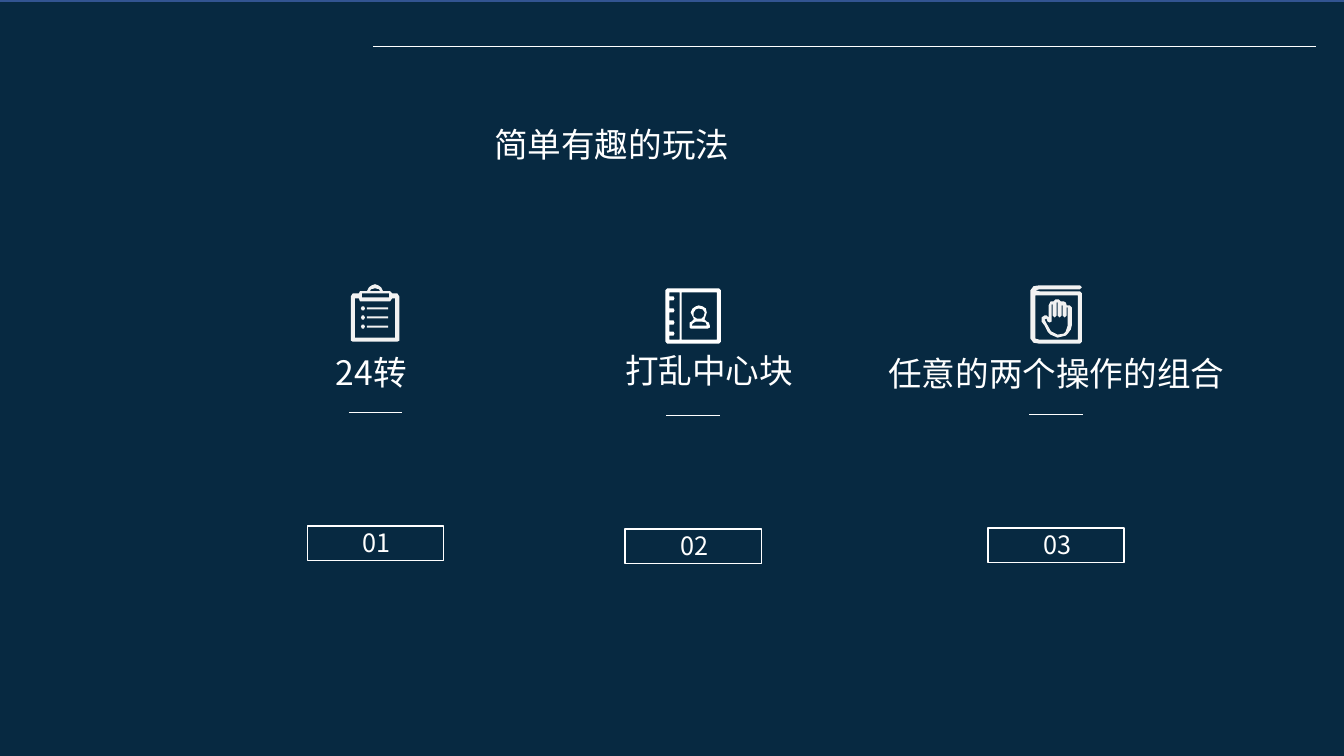
from dataclasses import dataclass

from lxml import etree
from pptx import Presentation
from pptx import util as u
from pptx.dml.color import RGBColor
from pptx.enum import shapes, text
from pptx.oxml.ns import qn


@dataclass
class Theme:
    navy: RGBColor = RGBColor(0x07, 0x29, 0x41)
    edge: RGBColor = RGBColor(0x32, 0x54, 0x91)
    white: RGBColor = RGBColor(0xFF, 0xFF, 0xFF)
    pale: RGBColor = RGBColor(0xF2, 0xF2, 0xF2)
    font: str = "Noto Sans CJK SC"
    heading: u.Pt = u.Pt(24)
    number: u.Pt = u.Pt(18)


theme = Theme()
deck = Presentation()
deck.slide_width, deck.slide_height = u.Inches(13.33), u.Inches(7.5)
cell = deck.slide_width // 1333
page = deck.slides.add_slide(deck.slide_layouts[5])


def write(box, words, size):
    box.text_frame.vertical_anchor = text.MSO_ANCHOR.TOP
    para = box.text_frame.paragraphs[0]
    span = para.add_run()
    span.text = words
    span.font.size = size
    span.font.color.rgb = theme.white
    span.font.name = theme.font
    etree.SubElement(span._r.rPr, qn("a:ea"), typeface=theme.font)
    return para


def draw_line(left, right, top, width):
    line = page.shapes.add_connector(
        shapes.MSO_CONNECTOR.STRAIGHT, left * cell, top * cell, right * cell, top * cell)
    line.line.color.rgb = theme.white
    line.line.width = width
    etree.SubElement(line._element.spPr, qn("a:effectLst"))


backdrop = page.shapes.add_shape(
    shapes.MSO_SHAPE.RECTANGLE, -2 * cell, cell, 1337 * cell, 751 * cell)
backdrop.shadow.inherit = False
backdrop.fill.solid()
backdrop.fill.fore_color.rgb = theme.navy
backdrop.line.color.rgb = theme.edge
backdrop.line.width = u.Pt(1)
page.shapes._spTree.insert(2, backdrop._element)

title = page.shapes.title
title.left, title.top, title.width, title.height = [n * cell for n in (480, 118, 529, 50)]
title.text_frame.auto_size = text.MSO_AUTO_SIZE.NONE
write(title, "简单有趣的玩法", theme.heading).alignment = text.PP_ALIGN.JUSTIFY
draw_line(370, 1305, 46, u.Pt(0.5))

clipboard = [
    [(0, 12), (2, 9), (8, 9), (9, 7), (16, 7), (18, 3), (21, 1), (24, 0), (27, 1), (30, 3),
     (32, 7), (39, 7), (41, 9), (46, 9), (48, 12), (48, 56), (46, 57), (2, 57), (0, 56)],
    [(19, 7), (20, 5), (24, 4), (28, 5), (29, 7)],
    [(11, 9), (38, 9), (38, 13), (11, 13)],
    [(4, 53), (4, 14), (8, 14), (9, 17), (39, 17), (41, 14), (44, 14), (44, 53)],
]
for row in (24, 33, 42):
    clipboard += [
        [(10, row), (11, row - 2), (13, row - 2), (14, row), (13, row + 2), (11, row + 2)],
        [(16, row - 1), (37, row - 1), (37, row + 1), (16, row + 1)],
    ]

binding = [(14, 51), (14, 4), (4, 4)]
for notch in (8, 20, 32, 43):
    binding += [(4, notch), (8, notch), (9, notch + 2), (8, notch + 4), (4, notch + 4)]
notebook = [
    [(2, 0), (53, 0), (55, 2), (55, 53), (53, 55), (2, 55), (0, 53), (0, 2)],
    binding + [(4, 51)],
    [(16, 4), (51, 4), (51, 51), (16, 51)],
    [(25, 40), (42, 40), (44, 39), (44, 37), (43, 34), (41, 33), (39, 31), (39, 30),
     (41, 24), (40, 20), (37, 18), (33, 17), (30, 18), (27, 20), (25, 24), (28, 30),
     (28, 31), (26, 33), (24, 34), (24, 39)],
    [(30, 21), (33, 20), (37, 21), (39, 24), (38, 28), (36, 30), (31, 30), (28, 28), (28, 24)],
    [(26, 37), (27, 35), (30, 33), (36, 33), (40, 34), (41, 37)],
]

handbook = [
    [(49, 6), (9, 6), (5, 5), (9, 4), (49, 4), (51, 2), (49, 0), (9, 0), (3, 1), (0, 5),
     (0, 53), (3, 57), (9, 58), (49, 58), (51, 56), (51, 8)],
    [(47, 54), (9, 54), (5, 53), (5, 10), (47, 10)],
    [(14, 40), (17, 46), (20, 49), (27, 52), (35, 50), (37, 48), (40, 44), (41, 40),
     (41, 22), (39, 20), (36, 20), (35, 17), (33, 16), (30, 16), (28, 14), (25, 14),
     (23, 16), (20, 16), (18, 20), (18, 32), (16, 30), (14, 30), (11, 32), (11, 36)],
    [(16, 33), (17, 36), (19, 37), (21, 36), (21, 19), (22, 19), (22, 30), (24, 32),
     (26, 30), (26, 17), (27, 17), (27, 30), (29, 32), (31, 30), (31, 20), (32, 20),
     (32, 30), (34, 32), (36, 30), (36, 22), (37, 22), (37, 40), (35, 46), (33, 48),
     (27, 49), (21, 46), (20, 45), (16, 38), (14, 34)],
]

columns = [
    ("01", "24转", (305, 522), (333, 356, 190), clipboard, (348, 282), theme.pale),
    ("02", "打乱中心块", (620, 525), (620, 354, 190), notebook, (660, 286), theme.white),
    ("03", "任意的两个操作的组合", (980, 524), (881, 357, 435), handbook, (1022, 283), theme.pale),
]
for number, name, (left, top), (name_left, name_top, name_width), icon, corner, tint in columns:
    frame = page.shapes.add_shape(
        shapes.MSO_SHAPE.RECTANGLE, left * cell, top * cell, 135 * cell, 34 * cell)
    frame.shadow.inherit = False
    frame.fill.background()
    frame.line.color.rgb = theme.white
    frame.line.width = u.Pt(1)

    label = page.shapes.add_textbox(
        name_left * cell, name_top * cell, name_width * cell, 72 * cell)
    area = label.text_frame
    area.word_wrap = True
    area.margin_left = area.margin_right = area.margin_top = 0
    write(label, name, theme.heading).line_spacing = u.Pt(24)
    draw_line(left + 41, left + 94, top - 113, u.Pt(1))

    tag = page.shapes.add_textbox((left + 45) * cell, (top - 4) * cell, 49 * cell, 40 * cell)
    tag.text_frame.word_wrap = False
    write(tag, number, theme.number)

    outline = page.shapes.build_freeform(*icon[0][0], scale=cell)
    outline.add_line_segments(icon[0][1:])
    for contour in icon[1:]:
        outline.move_to(*contour[0])
        outline.add_line_segments(contour[1:])
    symbol = outline.convert_to_shape(*[n * cell for n in corner])
    symbol.shadow.inherit = False
    symbol.fill.solid()
    symbol.fill.fore_color.rgb = tint
    symbol.line.fill.background()

deck.save("out.pptx")
